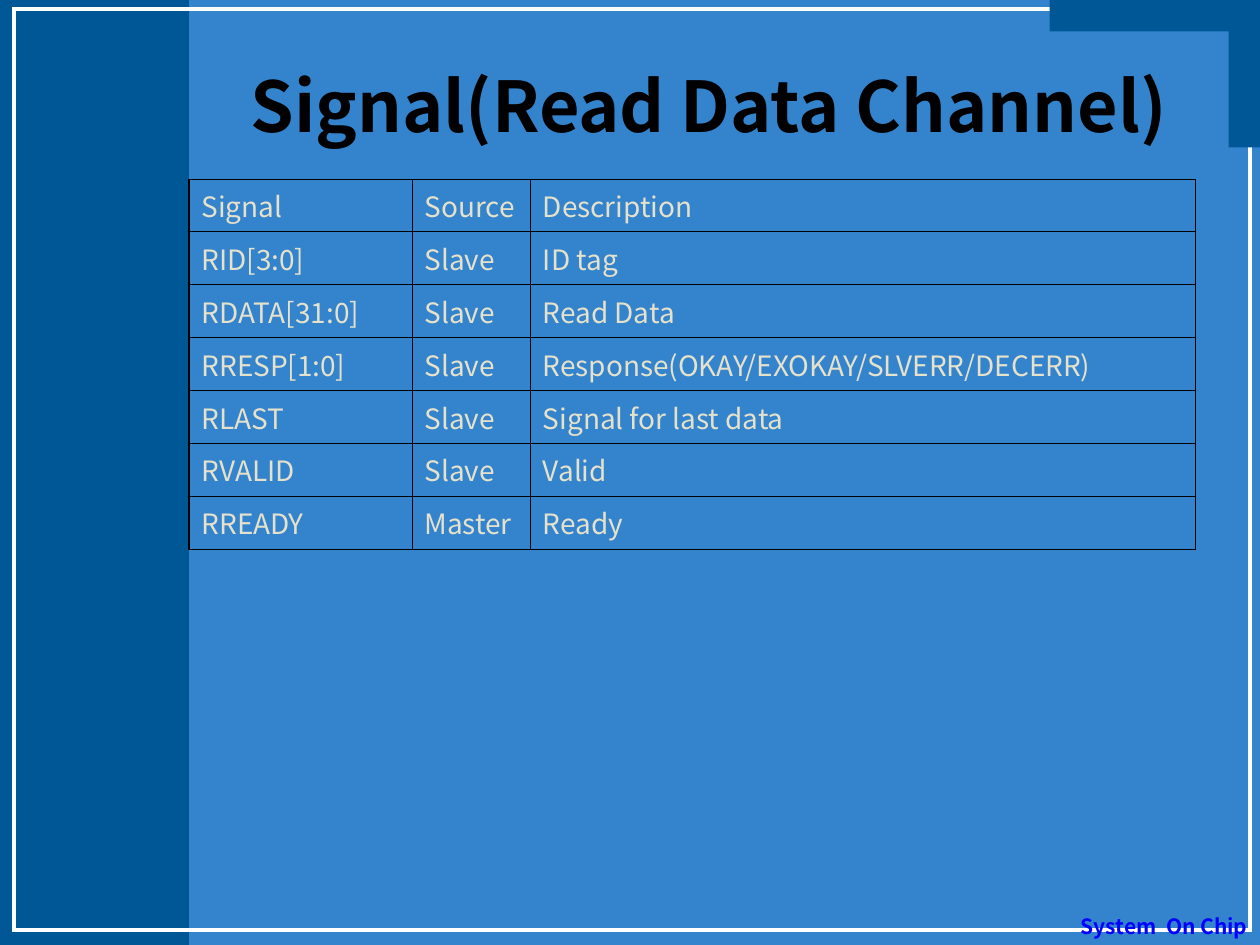
"""Build the read data channel signal slide."""
import lxml.etree
import pptx
import pptx.dml.color
import pptx.enum.shapes
import pptx.enum.text
import pptx.oxml.ns
import pptx.util

Inches = pptx.util.Inches
Pt = pptx.util.Pt
ALIGN = pptx.enum.text.PP_ALIGN
ANCHOR = pptx.enum.text.MSO_ANCHOR
FONT = "Noto Sans CJK KR"
NAVY = "005796"


def color(value):
    return pptx.dml.color.RGBColor.from_string(value)


def write_text(frame, text, size=16, fill="E5E1CB", bold=False, align=ALIGN.LEFT):
    frame.word_wrap = True
    paragraph = frame.paragraphs[0]
    paragraph.text = text
    paragraph.alignment = align
    paragraph.font.name = FONT
    paragraph.font.size = Pt(size)
    paragraph.font.bold = bold
    paragraph.font.color.rgb = color(fill)


presentation = pptx.Presentation()
presentation.slide_width = Inches(10)
presentation.slide_height = Inches(7.5)
slide = presentation.slides.add_slide(presentation.slide_layouts[6])
slide.background.fill.solid()
slide.background.fill.fore_color.rgb = color("3384CD")

side_band = (0, 0, 1.5, 7.5)
frame_outline = (0.11, 0.07, 9.81, 7.31)
corner_top = (8.33, 0, 1.67, 0.25)
corner_right = (9.75, 0, 0.25, 1.17)
for box in (side_band, frame_outline, corner_top, corner_right):
    shape = slide.shapes.add_shape(
        pptx.enum.shapes.MSO_SHAPE.RECTANGLE, *[Inches(length) for length in box]
    )
    shape.shadow.inherit = False
    if box == frame_outline:
        shape.fill.background()
        shape.line.color.rgb = color("FFFFFF")
        shape.line.width = Pt(2.25)
        outline = shape.element.spPr.find(pptx.oxml.ns.qn("a:ln"))
        lxml.etree.SubElement(outline, pptx.oxml.ns.qn("a:miter"), lim="800000")
    else:
        shape.fill.solid()
        shape.fill.fore_color.rgb = color(NAVY)
        shape.line.fill.background()

footer = slide.shapes.add_textbox(Inches(8.46), Inches(7.2), Inches(1.54), Inches(0.5))
write_text(footer.text_frame, "System  On Chip", size=12, fill="0000FF", bold=True, align=ALIGN.RIGHT)

title = slide.shapes.add_textbox(Inches(1.5), Inches(0.33), Inches(8.25), Inches(1))
title.text_frame.vertical_anchor = ANCHOR.MIDDLE
write_text(
    title.text_frame, "Signal(Read Data Channel)",
    size=40, fill="000000", bold=True, align=ALIGN.CENTER,
)

signals = [
    ("Signal", "Source", "Description"),
    ("RID[3:0]", "Slave", "ID tag"),
    ("RDATA[31:0]", "Slave", "Read Data"),
    ("RRESP[1:0]", "Slave", "Response(OKAY/EXOKAY/SLVERR/DECERR)"),
    ("RLAST", "Slave", "Signal for last data"),
    ("RVALID", "Slave", "Valid"),
    ("RREADY", "Master", "Ready"),
]
column_widths = (1.77, 0.94, 5.28)
row_height = 0.42
table = slide.shapes.add_table(
    len(signals), len(column_widths), Inches(1.5), Inches(1.42),
    Inches(sum(column_widths)), Inches(row_height * len(signals)),
).table
table.first_row = False
table.horz_banding = False
for column, width in zip(table.columns, column_widths):
    column.width = Inches(width)

for row_index, signal in enumerate(signals):
    table.rows[row_index].height = Inches(row_height)
    for column_index, text in enumerate(signal):
        cell = table.cell(row_index, column_index)
        cell.fill.background()
        write_text(cell.text_frame, text)
        properties = cell._tc.get_or_add_tcPr()
        for position, edge in enumerate(("a:lnL", "a:lnR", "a:lnT", "a:lnB")):
            is_table_left = edge == "a:lnL" and column_index == 0
            border_width = Pt(1.08 if is_table_left else 0.45)
            border = lxml.etree.Element(pptx.oxml.ns.qn(edge), w=str(border_width))
            border_fill = lxml.etree.SubElement(border, pptx.oxml.ns.qn("a:solidFill"))
            lxml.etree.SubElement(border_fill, pptx.oxml.ns.qn("a:srgbClr"), val="000000")
            properties.insert(position, border)

presentation.save("out.pptx")
